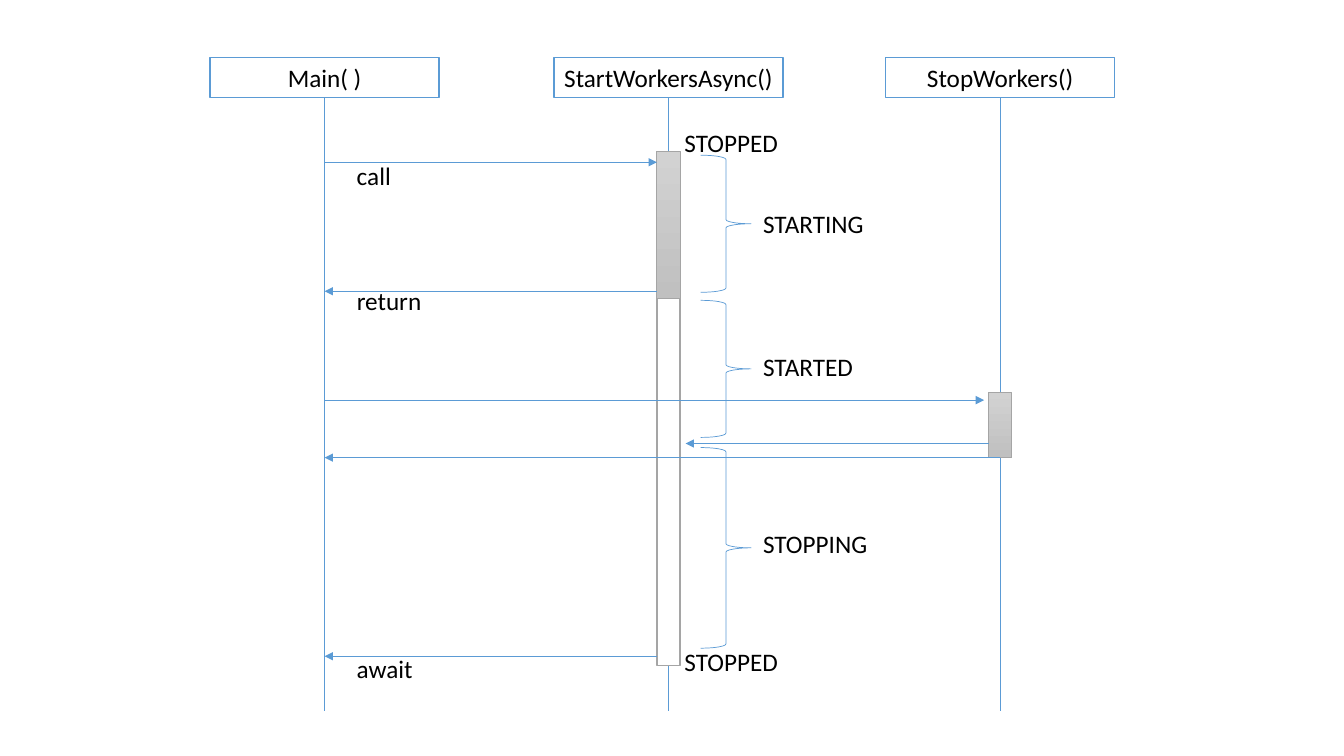
"""Build a sequence diagram of a worker's start and stop states."""
import lxml.etree
import pptx
import pptx.dml.color
import pptx.enum.shapes
import pptx.enum.text
import pptx.oxml.ns
import pptx.util

WIDTH, HEIGHT = 13.33, 7.5
BLUE, GRAY, WHITE, BLACK = "5B9BD5", "A5A5A5", "FFFFFF", "000000"
SHADE = ("D2D2D2", "C0C0C0")
FONT, FONT_SIZE = "Calibri", 18
HEAD_TOP, HEAD_WIDTH, ROW_HEIGHT, LIFELINE_END = 0.57, 2.27, 0.4, 7.05
BAR_WIDTH, BRACE_LEFT, BRACE_WIDTH = 0.23, 6.95, 0.5

MAIN, START, STOP = 3.22, 6.63, 9.92
START_EDGE, STOP_EDGE = START - BAR_WIDTH / 2, STOP - BAR_WIDTH / 2

participants = [("Main( )", MAIN), ("StartWorkersAsync()", START), ("StopWorkers()", STOP)]
activations = [
    (START, 1.5, 1.46, SHADE, 0.5),
    (START, 2.96, 3.64, WHITE, 1),
    (STOP, 3.89, 0.65, SHADE, 0.5),
]
messages = [
    (MAIN, START_EDGE, 1.61),
    (START_EDGE, MAIN, 2.89),
    (MAIN, 9.76, 3.97),
    (STOP_EDGE, 6.8, 4.4),
    (STOP, MAIN, 4.54),
    (START_EDGE, MAIN, 6.51),
]
braces = [(1.54, 1.36), (2.98, 1.36), (4.44, 1.99)]
label_columns = {
    3.44: [("call", 1.54, 0.54), ("return", 2.78, 0.85), ("await", 6.43, 0.76)],
    6.69: [("STOPPED", 1.21, 1.14), ("STOPPED", 6.36, 1.14)],
    7.47: [("STARTING", 2.02, 1.21), ("STARTED", 3.44, 1.1), ("STOPPING", 5.19, 1.24)],
}

presentation = pptx.Presentation()
presentation.slide_width = pptx.util.Inches(WIDTH)
presentation.slide_height = pptx.util.Inches(HEIGHT)
slide = presentation.slides.add_slide(presentation.slide_layouts[6])
Preset = pptx.enum.shapes.MSO_SHAPE
Align = pptx.enum.text.PP_ALIGN
Anchor = pptx.enum.text.MSO_ANCHOR


def inches(*lengths):
    return [pptx.util.Inches(length) for length in lengths]


def paint(color_format, color):
    color_format.rgb = pptx.dml.color.RGBColor.from_string(color)


def set_line(line, color, width):
    line.fill.solid()
    paint(line.color, color)
    line.width = pptx.util.Pt(width)


def add_box(preset, box, line_color, line_width, fill=None):
    shape = slide.shapes.add_shape(preset, *inches(*box))
    shape.shadow.inherit = False
    set_line(shape.line, line_color, line_width)
    if fill is None:
        shape.fill.background()
    elif isinstance(fill, tuple):
        shape.fill.gradient()
        shape.fill.gradient_angle = 270
        for stop, color in zip(shape.fill.gradient_stops, fill):
            paint(stop.color, color)
    else:
        shape.fill.solid()
        paint(shape.fill.fore_color, fill)
    return shape


def write(text, shape, align=Align.LEFT, anchor=Anchor.TOP, grow=False):
    frame = shape.text_frame
    frame.word_wrap = False
    frame.vertical_anchor = anchor
    if grow:
        frame.auto_size = pptx.enum.text.MSO_AUTO_SIZE.SHAPE_TO_FIT_TEXT
    paragraph = frame.paragraphs[0]
    paragraph.alignment = align
    run = paragraph.add_run()
    run.text = text
    run.font.name = FONT
    run.font.size = pptx.util.Pt(FONT_SIZE)
    paint(run.font.color, BLACK)


def add_line(start_x, start_y, end_x, end_y, arrow=False):
    qn = pptx.oxml.ns.qn
    connector = slide.shapes.add_connector(
        pptx.enum.shapes.MSO_CONNECTOR.STRAIGHT, *inches(start_x, start_y, end_x, end_y))
    set_line(connector.line, BLUE, 0.5)
    properties = connector.element.find(qn("p:spPr"))
    if arrow:
        lxml.etree.SubElement(properties.find(qn("a:ln")), qn("a:tailEnd"), type="triangle")
    lxml.etree.SubElement(properties, qn("a:effectLst"))


for name, center in participants:
    head = add_box(Preset.RECTANGLE, (center - HEAD_WIDTH / 2, HEAD_TOP, HEAD_WIDTH, ROW_HEIGHT),
                   BLUE, 1, WHITE)
    write(name, head, align=Align.CENTER, anchor=Anchor.MIDDLE)
    add_line(center, HEAD_TOP + ROW_HEIGHT, center, LIFELINE_END)

for center, top, height, fill, line_width in activations:
    add_box(Preset.RECTANGLE, (center - BAR_WIDTH / 2, top, BAR_WIDTH, height),
            GRAY, line_width, fill)

for start, end, level in messages:
    add_line(start, level, end, level, arrow=True)

for top, height in braces:
    add_box(Preset.RIGHT_BRACE, (BRACE_LEFT, top, BRACE_WIDTH, height), BLUE, 0.5)

for left, labels in label_columns.items():
    for text, top, width in labels:
        write(text, slide.shapes.add_textbox(*inches(left, top, width, ROW_HEIGHT)), grow=True)

presentation.save("out.pptx")
